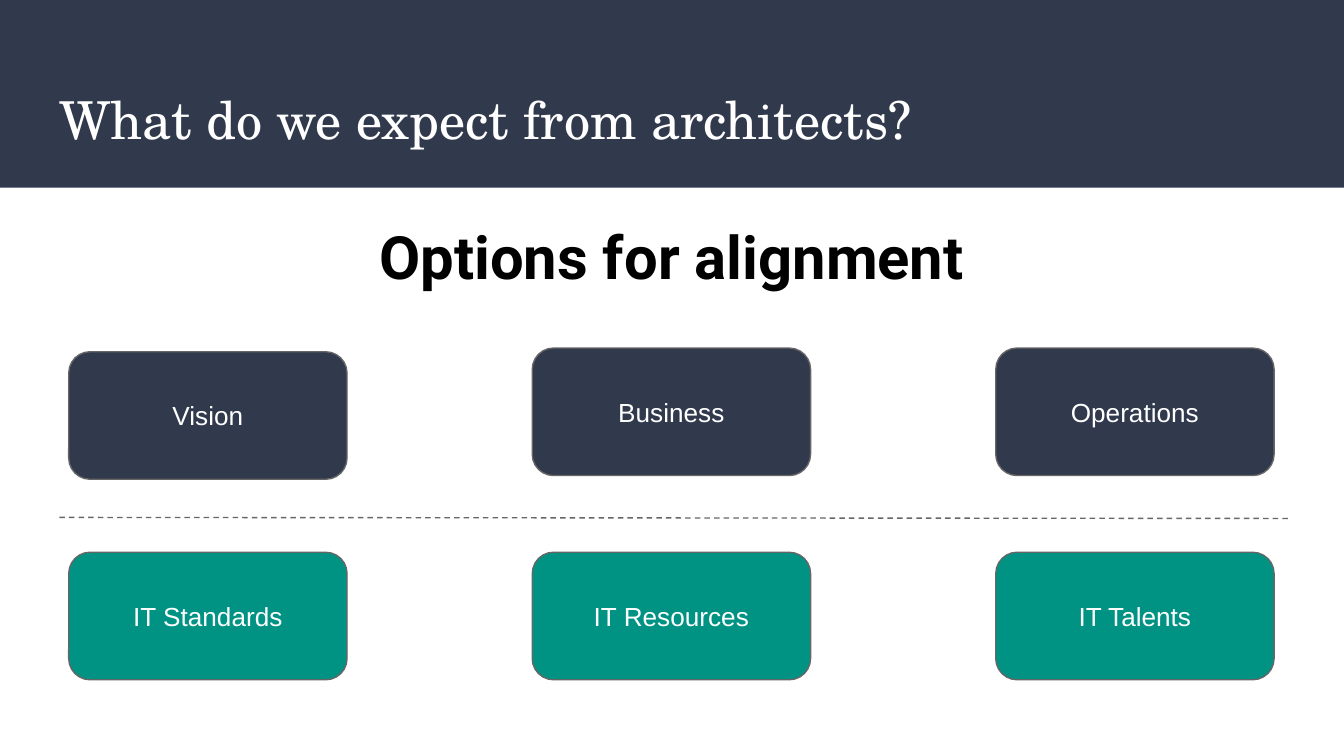
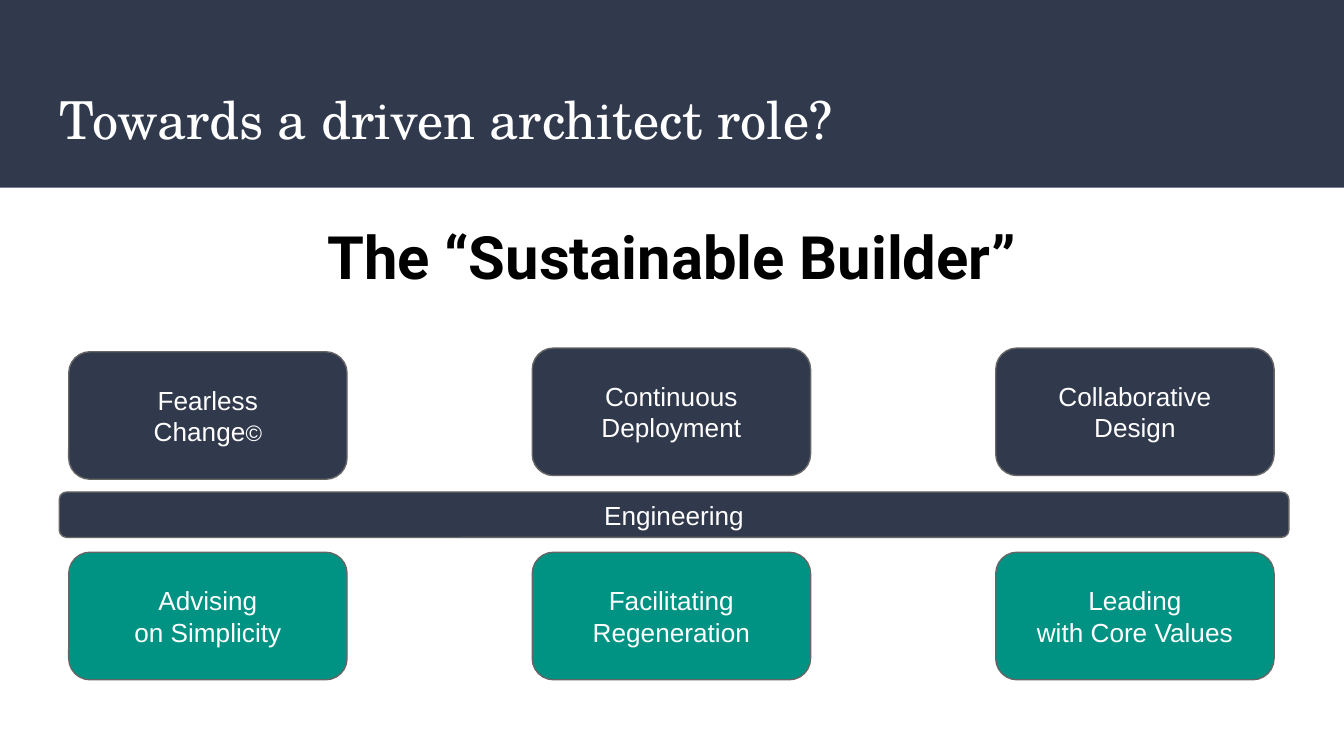
from lxml.etree import SubElement
from pptx import Presentation
from pptx.dml.color import RGBColor
from pptx.enum.dml import MSO_LINE
from pptx.enum.shapes import MSO_CONNECTOR, MSO_SHAPE
from pptx.enum.text import MSO_ANCHOR, MSO_AUTO_SIZE, PP_ALIGN
from pptx.oxml.ns import qn
from pptx.util import Cm, Pt

# Content: each box is a list of paragraphs, each paragraph a list of runs
SLIDES = [
    dict(title="What do we expect from architects?",
         head="Options for alignment",
         top=[[["Vision"]], [["Business"]], [["Operations"]]],
         low=[[["IT Standards"]], [["IT Resources"]], [["IT Talents"]]],
         bar=None),
    dict(title="Towards a driven architect role?",
         head="The “Sustainable Builder”",
         top=[[["Fearless"], ["Change", "©"]],
              [["Continuous"], ["Deployment"]],
              [["Collaborative Design"]]],
         low=[[["Advising"], ["on Simplicity"]],
              [["Facilitating"], ["Regeneration"]],
              [["Leading"], ["with Core Values"]]],
         bar=[["Engineering"]]),
]

# Shared style
NAVY = RGBColor(0x31, 0x39, 0x4D)
TEAL = RGBColor(0x00, 0x93, 0x84)
GRAY = RGBColor(0x66, 0x66, 0x66)
WHITE = RGBColor(0xFF, 0xFF, 0xFF)
BLACK = RGBColor(0x00, 0x00, 0x00)
WIDTH, HEIGHT = 25.4, 14.29

# Grid, in centimetres
LEFT, PITCH = 1.3, 8.76
BOX_W, BOX_H = 5.26, 2.41
TOP_Y = [6.65, 6.58, 6.58]
LOW_Y = [10.44] * 3
MID_X, MID_W = 1.12, 23.24


def write(shape, paras, size, face, color, align, anchor, bold=False):
    frame = shape.text_frame
    frame.word_wrap = True
    frame.auto_size = MSO_AUTO_SIZE.NONE
    frame.vertical_anchor = anchor
    frame.margin_left = frame.margin_right = Cm(0.25)
    frame.margin_top = frame.margin_bottom = Cm(0.25)
    for i, runs in enumerate(paras):
        para = frame.add_paragraph() if i else frame.paragraphs[0]
        para.alignment = align
        font = para.font
        font.size, font.name, font.bold = Pt(size), face, bold
        font.color.rgb = color
        for text in runs:
            run = para.add_run()
            run.text = text
            if text == "©":
                run.font.size = Pt(12)


def draw(shapes, kind, x, y, w, h, fill):
    shape = shapes.add_shape(kind, Cm(x), Cm(y), Cm(w), Cm(h))
    shape.shadow.inherit = False
    shape.fill.solid()
    shape.fill.fore_color.rgb = fill
    shape.line.fill.background()
    return shape


def add_box(shapes, x, y, w, h, fill, paras):
    box = draw(shapes, MSO_SHAPE.ROUNDED_RECTANGLE, x, y, w, h, fill)
    box.line.color.rgb = GRAY
    box.line.width = Pt(0.75)
    write(box, paras, 14, "Arial", WHITE, PP_ALIGN.CENTER, MSO_ANCHOR.MIDDLE)


def add_row(slide, boxes, tops, fill):
    group = slide.shapes.add_group_shape()
    for i, (paras, y) in enumerate(zip(boxes, tops)):
        add_box(group.shapes, LEFT + i * PITCH, y, BOX_W, BOX_H, fill, paras)
    return group


def add_rule(shapes):
    rule = shapes.add_connector(MSO_CONNECTOR.STRAIGHT, Cm(MID_X), Cm(9.78),
                                Cm(MID_X + MID_W), Cm(9.8))
    rule.line.color.rgb = GRAY
    rule.line.width = Pt(0.75)
    rule.line.dash_style = MSO_LINE.DASH
    SubElement(rule.element.spPr, qn("a:effectLst"))


def add_head(slide, title, head):
    # Title over the full-width band
    name = slide.shapes.title
    band = draw(slide.shapes, MSO_SHAPE.RECTANGLE, 0, 0, WIDTH, 3.55, NAVY)
    name.element.addprevious(band.element)
    name.left, name.top = Cm(0.87), Cm(1.4)
    name.width, name.height = Cm(23.67), Cm(1.73)
    write(name, [[title]], 28, "TeX Gyre Schola", WHITE,
          PP_ALIGN.LEFT, MSO_ANCHOR.TOP)

    # Centred heading
    text = slide.shapes.add_textbox(Cm(2.3), Cm(3.91), Cm(20.8), Cm(1.55))
    write(text, [[head]], 32, "Roboto", BLACK,
          PP_ALIGN.CENTER, MSO_ANCHOR.TOP, bold=True)


def main():
    deck = Presentation()
    deck.slide_width, deck.slide_height = Cm(WIDTH), Cm(HEIGHT)
    for page in SLIDES:
        slide = deck.slides.add_slide(deck.slide_layouts[5])
        add_head(slide, page["title"], page["head"])
        add_row(slide, page["top"], TOP_Y, NAVY)
        low = add_row(slide, page["low"], LOW_Y, TEAL)

        # Divider between the rows: a labelled bar or a dashed rule
        if page["bar"]:
            add_box(slide.shapes, MID_X, 9.3, MID_W, 0.86, NAVY, page["bar"])
        else:
            add_rule(low.shapes)
    deck.save("out.pptx")


if __name__ == "__main__":
    main()
